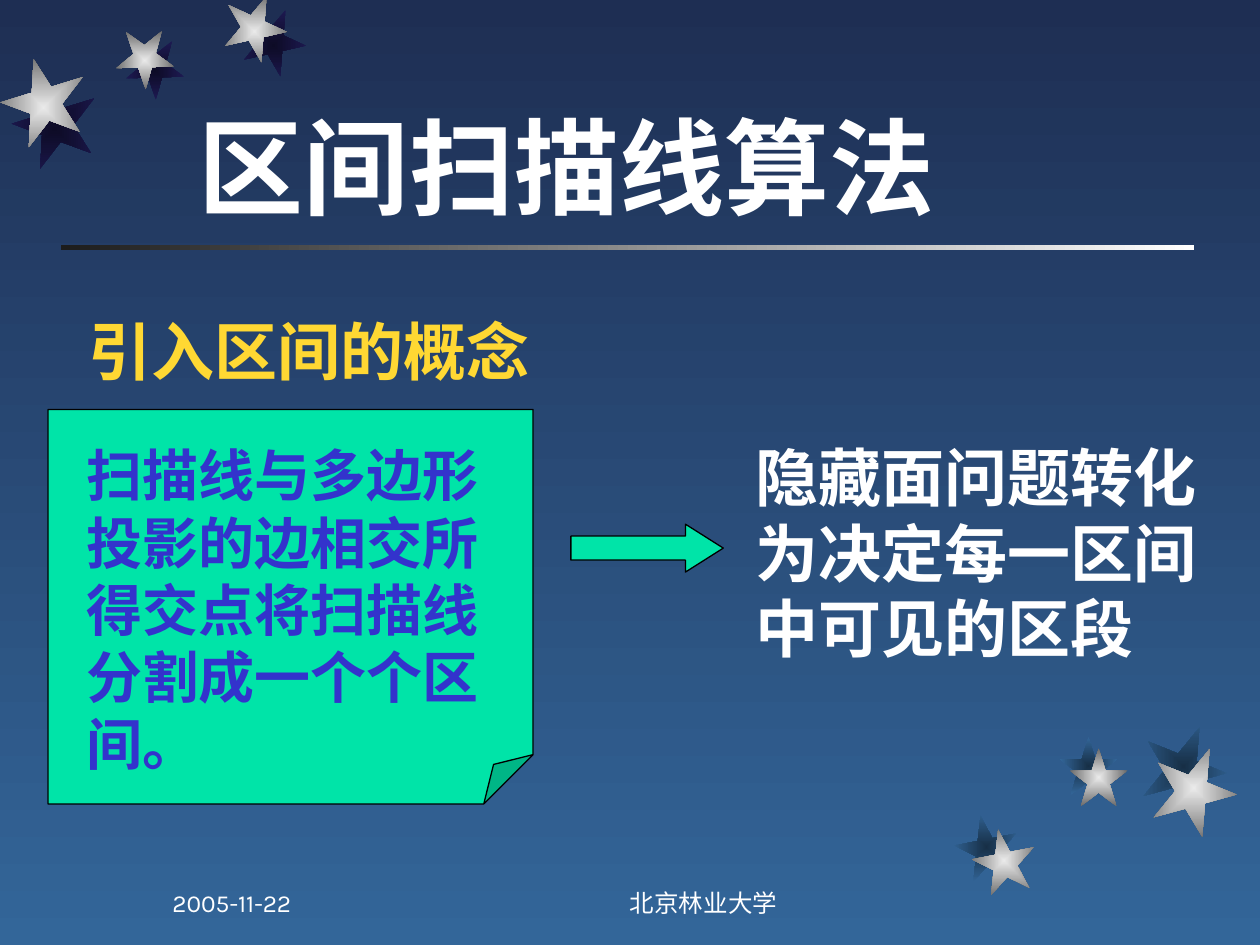
from lxml import etree
from pptx import Presentation
from pptx import util as u
from pptx.dml.color import RGBColor
from pptx.enum import shapes, text
from pptx.oxml.ns import qn

Pt = u.Pt
WHITE = RGBColor(0xFF, 0xFF, 0xFF)
BLACK = RGBColor(0, 0, 0)
CHARCOAL = RGBColor(0x1C, 0x1C, 0x1C)
YELLOW = RGBColor(0xFF, 0xD8, 0x33)
GREEN = RGBColor(0x00, 0xE4, 0xA8)
BLUE = RGBColor(0x33, 0x33, 0xCC)
SKY = (RGBColor(0x1E, 0x2E, 0x53), RGBColor(0x33, 0x66, 0x99))
SILVER = (RGBColor(0xEA, 0xEA, 0xEA), RGBColor(0x6B, 0x6B, 0x6B))
TOP_SHADE = (RGBColor(0x0D, 0x0B, 0x26), RGBColor(0x1E, 0x1A, 0x53))
BOTTOM_SHADE = (RGBColor(0x17, 0x2F, 0x46), SKY[1])

# Content: text, box (left, top, width, height) and format
TITLE = "区间扫描线算法"
TITLE_BOX = (106.5, 18.7, 505, 115.2)
NOTE_BOX = (27.4, 234, 277.2, 225.4)
ARROW_BOX = (326.2, 299.5, 87.1, 27.4)
RULE_BOX = (34.6, 140.2, 648, 2.4)
TEXTS = [
    ("引入区间的概念", (43.2, 175, 322.6, 50.4), dict(size=36, color=YELLOW)),
    ("隐藏面问题转化为决定每一区间中可见的区段", (424.8, 247, 295.2, 136.8),
     dict(size=36, color=WHITE)),
    ("扫描线与多边形投影的边相交所得交点将扫描线分割成一个个区间。",
     (42.5, 248.4, 258.5, 199.4), dict(size=32, color=BLUE)),
]
FOOTERS = [
    ("北京林业大学", (288, 491.8, 228.2, 36), text.PP_ALIGN.CENTER),
    ("2005-11-22", (91.4, 491.8, 149.8, 36), text.PP_ALIGN.LEFT),
]
# Star groups: shade colours, then (left, top, size, rotation, shade dx, shade dy)
STAR_GROUPS = [
    (TOP_SHADE, [(127.4, 0, 36, 167.3, 10.8, 7.9),
                 (66.2, 18, 33.1, 178.3, 5.8, 5.8),
                 (0.7, 37.4, 48.2, 200.3, 6.5, 12.2)]),
    (BOTTOM_SHADE, [(555.8, 473.8, 36, 349, -10.1, -7.9),
                    (611.3, 427.7, 33.1, 0, -5.8, -6.5),
                    (658.1, 426.2, 48.2, 22, -5.8, -12.2)]),
]


def points(box):
    return [Pt(value) for value in box]


def set_gradient(fill, colors, angle=0):
    fill.gradient()
    for stop, color, position in zip(fill.gradient_stops, colors, (0, 1)):
        stop.color.rgb = color
        stop.position = position
    fill.gradient_angle = angle


def spread_from_center(shape):
    """Turn the linear gradient of a shape into one that starts at its centre."""
    linear = next(shape._element.iter(qn("a:lin")))
    spread = etree.Element(qn("a:path"), {"path": "rect"})
    etree.SubElement(spread, qn("a:fillToRect"), {side: "50000" for side in "ltrb"})
    linear.getparent().replace(linear, spread)


def add_shape(kind, box, color=None):
    shape = slide.shapes.add_shape(kind, *points(box))
    shape.shadow.inherit = False
    if color is None:
        shape.line.fill.background()
    else:
        shape.fill.solid()
        shape.fill.fore_color.rgb = color
        shape.line.color.rgb = BLACK
        shape.line.width = Pt(0.75)
    return shape


def add_star(left, top, size, rotation, colors):
    star = add_shape(shapes.MSO_SHAPE.STAR_5_POINT, (left, top, size, size))
    star.rotation = rotation
    set_gradient(star.fill, colors)
    spread_from_center(star)


def write_text(shape, words, size, color, font="Times New Roman", bold=True,
               align=text.PP_ALIGN.LEFT, anchor=text.MSO_ANCHOR.TOP):
    frame = shape.text_frame
    frame.word_wrap = True
    frame.auto_size = text.MSO_AUTO_SIZE.NONE
    frame.vertical_anchor = anchor
    paragraph = frame.paragraphs[0]
    paragraph.alignment = align
    run = paragraph.add_run()
    run.text = words
    run.font.size = Pt(size)
    run.font.name = font
    run.font.bold = bold
    run.font.color.rgb = color


presentation = Presentation()
presentation.slide_width, presentation.slide_height = Pt(720), Pt(540)
slide = presentation.slides.add_slide(presentation.slide_layouts[5])
set_gradient(slide.background.fill, SKY, angle=270)

# Rule under the title, and stars with their shades behind them
rule = add_shape(shapes.MSO_SHAPE.RECTANGLE, RULE_BOX)
set_gradient(rule.fill, (CHARCOAL, WHITE))
for shade, stars in STAR_GROUPS:
    for left, top, size, rotation, dx, dy in stars:
        add_star(left + dx, top + dy, size, rotation, shade)
    for left, top, size, rotation, dx, dy in stars:
        add_star(left, top, size, rotation, SILVER)

# Title
title = slide.shapes.title
title.left, title.top, title.width, title.height = points(TITLE_BOX)
write_text(title, TITLE, 60, WHITE, font="Karla", anchor=text.MSO_ANCHOR.BOTTOM)

# Note with a small fold, set in XML as the shape lists no adjustments
note = add_shape(shapes.MSO_SHAPE.FOLDED_CORNER, NOTE_BOX, GREEN)
guides = next(note._element.iter(qn("a:avLst")))
etree.SubElement(guides, qn("a:gd"), {"name": "adj", "fmla": "val 12500"})

# Arrow and texts
arrow = add_shape(shapes.MSO_SHAPE.RIGHT_ARROW, ARROW_BOX, GREEN)
arrow.adjustments[1] = 0.79
for words, box, style in TEXTS:
    write_text(slide.shapes.add_textbox(*points(box)), words, **style)

# Footer
for words, box, align in FOOTERS:
    write_text(slide.shapes.add_textbox(*points(box)), words, 14, WHITE,
               font="Karla", bold=False, align=align,
               anchor=text.MSO_ANCHOR.BOTTOM)

presentation.save("out.pptx")
